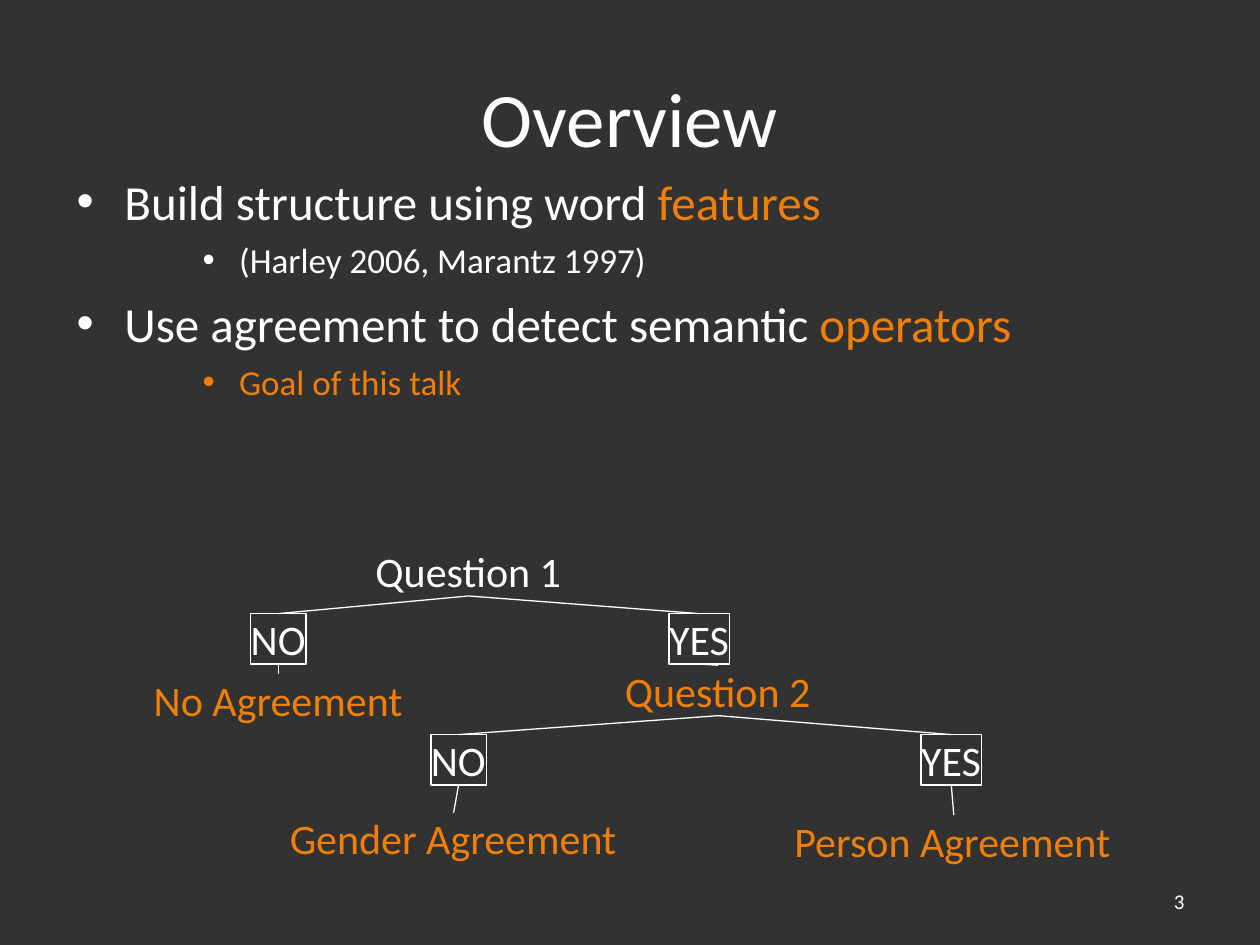
from lxml.etree import SubElement
from pptx import Presentation
from pptx.dml.color import RGBColor
from pptx.enum.shapes import MSO_CONNECTOR, MSO_SHAPE
from pptx.enum.text import MSO_ANCHOR, MSO_AUTO_SIZE, PP_ALIGN
from pptx.oxml.ns import qn
from pptx.util import Inches, Pt

DARK = RGBColor(0x32, 0x32, 0x32)
WHITE = RGBColor(0xFF, 0xFF, 0xFF)
ORANGE = RGBColor(0xF0, 0x7F, 0x09)

# Grid of 100 columns by 75 rows
WIDE, HIGH = Inches(10), Inches(7.5)
COL, ROW = WIDE / 100, HIGH / 75
TALL = 4  # rows in a tree node


def write(para, text, size=24, color=WHITE, font="Calibri"):
    run = para.add_run()
    run.text = text
    run.font.name = font
    run.font.size = Pt(size)
    run.font.color.rgb = color


class Deck:
    def __init__(self):
        self.file = Presentation()
        self.file.slide_width, self.file.slide_height = WIDE, HIGH
        self.slide = self.file.slides.add_slide(self.file.slide_layouts[6])
        fill = self.slide.background.fill
        fill.solid()
        fill.fore_color.rgb = DARK

    def place(self, col, row, cols, rows):
        return [round(n) for n in (col * COL, row * ROW, cols * COL, rows * ROW)]

    def box(self, *area, anchor=MSO_ANCHOR.TOP):
        frame = self.slide.shapes.add_textbox(*self.place(*area)).text_frame
        frame.word_wrap = True
        frame.vertical_anchor = anchor
        return frame

    def label(self, text, *area, size, align, anchor=MSO_ANCHOR.TOP):
        para = self.box(*area, anchor=anchor).paragraphs[0]
        para.alignment = align
        write(para, text, size=size)

    def bullets(self, items, *area):
        frame = self.box(*area)
        for i, (level, runs) in enumerate(items):
            para = frame.paragraphs[0] if i == 0 else frame.add_paragraph()
            left, hang, size, gap = ((0.38, 0.38, 28, 7), (1.29, 0.29, 20, 5))[level]
            para.level = 2 * level
            if i:
                para.space_before = Pt(gap)
            props = para._p.get_or_add_pPr()
            props.set("marL", str(Inches(left)))
            props.set("indent", str(-Inches(hang)))
            tint = SubElement(props, qn("a:buClr"))
            SubElement(tint, qn("a:srgbClr"), val=str(runs[0][1]))
            SubElement(props, qn("a:buFont"), typeface="Arial")
            SubElement(props, qn("a:buChar"), char="•")
            for text, color in runs:
                write(para, text, size=size, color=color)

    def node(self, text, mid, row, cols, color, framed):
        area = self.place(mid - cols / 2, row, cols, TALL)
        if framed:
            shape = self.slide.shapes.add_shape(MSO_SHAPE.RECTANGLE, *area)
            shape.shadow.inherit = False
            shape.fill.background()
            shape.line.color.rgb = WHITE
            shape.line.width = Pt(0.75)
        else:
            shape = self.slide.shapes.add_textbox(*area)
        frame = shape.text_frame
        frame.margin_left = frame.margin_right = 0
        frame.margin_top = frame.margin_bottom = 0
        frame.word_wrap = False
        frame.auto_size = MSO_AUTO_SIZE.SHAPE_TO_FIT_TEXT
        frame.vertical_anchor = MSO_ANCHOR.MIDDLE
        frame.paragraphs[0].alignment = PP_ALIGN.LEFT
        write(frame.paragraphs[0], text, color=color)

    def branch(self, *ends):
        line = self.slide.shapes.add_connector(MSO_CONNECTOR.STRAIGHT, *self.place(*ends))
        line.line.color.rgb = WHITE
        line.line.width = Pt(0.75)
        SubElement(line._element.spPr, qn("a:effectLst"))


# Title and points
POINTS = [
    (0, [("Build structure using word ", WHITE), ("features", ORANGE)]),
    (1, [("(Harley 2006, Marantz 1997)", WHITE)]),
    (0, [("Use agreement to detect semantic ", WHITE), ("operators", ORANGE)]),
    (1, [("Goal of this talk", ORANGE)]),
]

# Tree nodes: text, centre column, top row, columns, colour, framed
NODES = {
    "ask1": ("Question 1", 37.2, 43.3, 14.8, WHITE, False),
    "no1": ("NO", 22.1, 48.7, 4.4, WHITE, True),
    "yes1": ("YES", 55.5, 48.7, 4.8, WHITE, True),
    "none": ("No Agreement", 22.1, 53.5, 19.8, ORANGE, False),
    "ask2": ("Question 2", 57, 52.8, 14.8, ORANGE, False),
    "no2": ("NO", 36.4, 58.3, 4.4, WHITE, True),
    "yes2": ("YES", 75.5, 58.3, 4.8, WHITE, True),
    "gender": ("Gender Agreement", 36, 64.5, 26, ORANGE, False),
    "person": ("Person Agreement", 75.7, 64.7, 25.3, ORANGE, False),
}
LINKS = {
    "ask1": ("no1", "yes1"),
    "no1": ("none",),
    "yes1": ("ask2",),
    "ask2": ("no2", "yes2"),
    "no2": ("gender",),
    "yes2": ("person",),
}


def main():
    deck = Deck()
    deck.label("Overview", 5, 3, 90, 12.5, size=44, align=PP_ALIGN.CENTER,
               anchor=MSO_ANCHOR.MIDDLE)
    deck.bullets(POINTS, 5.1, 13.1, 90, 59.1)

    # Decision tree: each branch runs from a node's foot to the next one's head
    for node in NODES.values():
        deck.node(*node)
    for top, lows in LINKS.items():
        for low in lows:
            deck.branch(NODES[top][1], NODES[top][2] + TALL, *NODES[low][1:3])

    # Page number
    deck.label("3", 71.7, 69.5, 23.3, 4, size=12, align=PP_ALIGN.RIGHT,
               anchor=MSO_ANCHOR.MIDDLE)
    deck.file.save("out.pptx")


if __name__ == "__main__":
    main()
